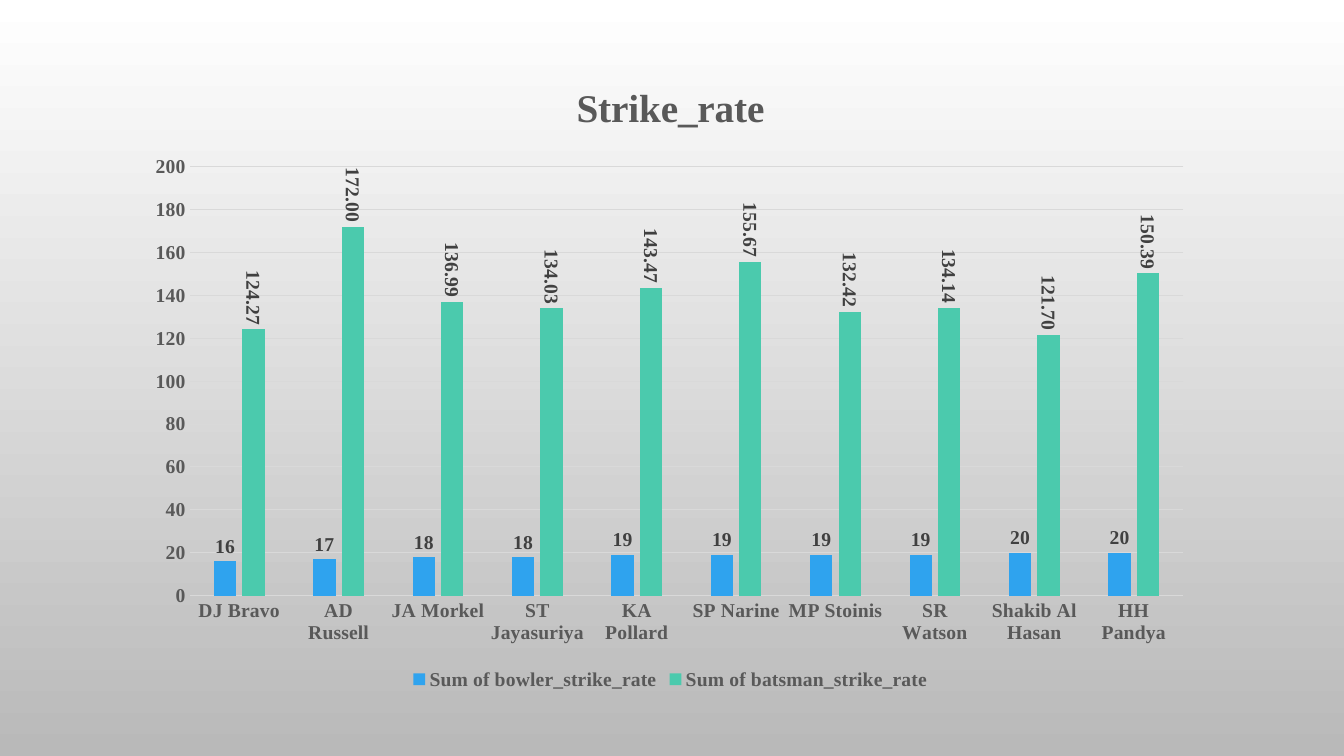
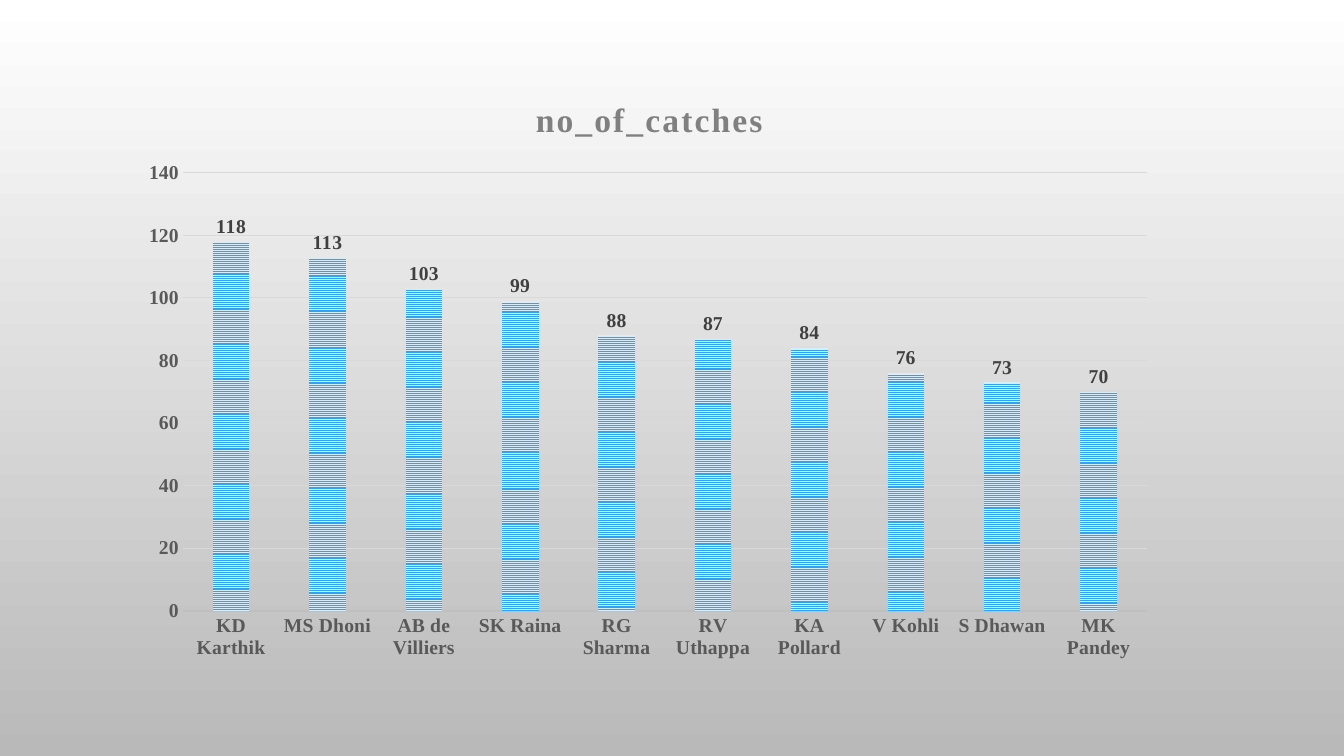
"""Build two slides of cricket column charts on a shared grey gradient."""
from dataclasses import dataclass

from lxml import etree
from pptx import Presentation, util as u
from pptx.chart.data import CategoryChartData
from pptx.dml.color import RGBColor
from pptx.enum import chart as ch, dml


@dataclass(frozen=True)
class Theme:
    font: str = "Times New Roman"
    label_size: int = 14
    top: str = "FFFFFF"
    bottom: str = "B9B9B9"
    axis_text: str = "595959"
    value_text: str = "404040"
    grid: str = "D9D9D9"
    blue: str = "2FA3EE"
    pale_blue: str = "D5EDFC"
    green: str = "4BCAAD"


THEME = Theme()
SLIDES = [
    dict(
        title="Strike_rate", title_size=28, title_color=THEME.axis_text, spacing=0,
        box=(1.35, 0.58, 10.6, 6.31), plot=(0.05, 0.17, 0.93, 0.675),
        gap=219, overlap=-27, top=200, axis_line=(THEME.grid, 0.75), legend=True,
        cats=["DJ Bravo", "AD Russell", "JA Morkel", "ST Jayasuriya", "KA Pollard",
              "SP Narine", "MP Stoinis", "SR Watson", "Shakib Al Hasan", "HH Pandya"],
        series=[
            ("Sum of bowler_strike_rate", THEME.blue, "General", 0,
             [16, 17, 18, 18, 19, 19, 19, 19, 20, 20]),
            ("Sum of batsman_strike_rate", THEME.green, "0.00", 90,
             [124.27, 172, 136.99, 134.03, 143.47, 155.67, 132.42, 134.14, 121.7, 150.39]),
        ],
    ),
    dict(
        title="no_of_catches", title_size=24, title_color="808080", spacing=150,
        box=(1.3, 0.74, 10.28, 5.91), plot=(0.05, 0.165, 0.93, 0.735),
        gap=164, overlap=-22, top=140, axis_line=("BFBFBF", 1.5), legend=False,
        cats=["KD Karthik", "MS Dhoni", "AB de Villiers", "SK Raina", "RG Sharma",
              "RV Uthappa", "KA Pollard", "V Kohli", "S Dhawan", "MK Pandey"],
        series=[
            ("no_of_catches", None, "General", 0,
             [118, 113, 103, 99, 88, 87, 84, 76, 73, 70]),
        ],
    ),
]


def style(font, color, size=THEME.label_size):
    font.name, font.size, font.bold = THEME.font, u.Pt(size), True
    font.color.rgb = RGBColor.from_string(color)


def place_plot(chart, shares):
    area = chart._chartSpace.chart.plotArea
    ns = area.nsmap["c"]
    for old in area.findall(f"{{{ns}}}layout"):
        area.remove(old)
    layout = etree.Element(f"{{{ns}}}layout")
    manual = etree.SubElement(layout, f"{{{ns}}}manualLayout")
    values = [("layoutTarget", "inner"), ("xMode", "edge"), ("yMode", "edge")]
    for tag, val in values + list(zip("xywh", shares)):
        etree.SubElement(manual, f"{{{ns}}}{tag}").set("val", str(val))
    area.insert(0, layout)


prs = Presentation()
prs.slide_width, prs.slide_height = u.Inches(13.33), u.Inches(7.5)

for page in SLIDES:
    s = prs.slides.add_slide(prs.slide_layouts[6])
    bg = s.background.fill
    bg.gradient()
    bg.gradient_angle = 270
    for stop, color in zip(bg.gradient_stops, (THEME.top, THEME.bottom)):
        stop.color.rgb = RGBColor.from_string(color)

    data = CategoryChartData()
    data.categories = page["cats"]
    for name, _, fmt, _, values in page["series"]:
        data.add_series(name, values, fmt)
    chart = s.shapes.add_chart(ch.XL_CHART_TYPE.COLUMN_CLUSTERED,
                               *map(u.Inches, page["box"]), data).chart
    place_plot(chart, page["plot"])

    chart.has_title = True
    p = chart.chart_title.text_frame.paragraphs[0]
    r = p.add_run()
    r.text = page["title"]
    style(r.font, page["title_color"], page["title_size"])
    r._r.get_or_add_rPr().set("spc", str(page["spacing"]))
    chart.chart_title.include_in_layout = False

    chart.has_legend = page["legend"]
    if page["legend"]:
        chart.legend.position = ch.XL_LEGEND_POSITION.BOTTOM
        chart.legend.include_in_layout = False
        style(chart.legend.font, THEME.axis_text)

    for axis in (chart.category_axis, chart.value_axis):
        axis.major_tick_mark = axis.minor_tick_mark = ch.XL_TICK_MARK.NONE
        style(axis.tick_labels.font, THEME.axis_text)
    line_color, line_width = page["axis_line"]
    line = chart.category_axis.format.line
    line.color.rgb, line.width = RGBColor.from_string(line_color), u.Pt(line_width)
    axis = chart.value_axis
    axis.minimum_scale, axis.maximum_scale, axis.major_unit = 0, page["top"], 20
    axis.format.line.fill.background()
    grid = axis.major_gridlines.format.line
    grid.color.rgb, grid.width = RGBColor.from_string(THEME.grid), u.Pt(0.75)

    plot = chart.plots[0]
    plot.gap_width, plot.overlap, plot.vary_by_categories = page["gap"], page["overlap"], False
    for series, (_, color, fmt, turn, _) in zip(plot.series, page["series"]):
        fill = series.format.fill
        if color:
            fill.solid()
            fill.fore_color.rgb = RGBColor.from_string(color)
        else:
            fill.patterned()
            fill.pattern = dml.MSO_PATTERN.NARROW_HORIZONTAL
            fill.fore_color.rgb = RGBColor.from_string(THEME.blue)
            fill.back_color.rgb = RGBColor.from_string(THEME.pale_blue)
        labels = series.data_labels
        labels.show_value = True
        labels.position = ch.XL_LABEL_POSITION.OUTSIDE_END
        labels.number_format, labels.number_format_is_linked = fmt, False
        style(labels.font, THEME.value_text)
        labels._element.txPr.bodyPr.set("rot", str(turn * 60000))

prs.save("out.pptx")
